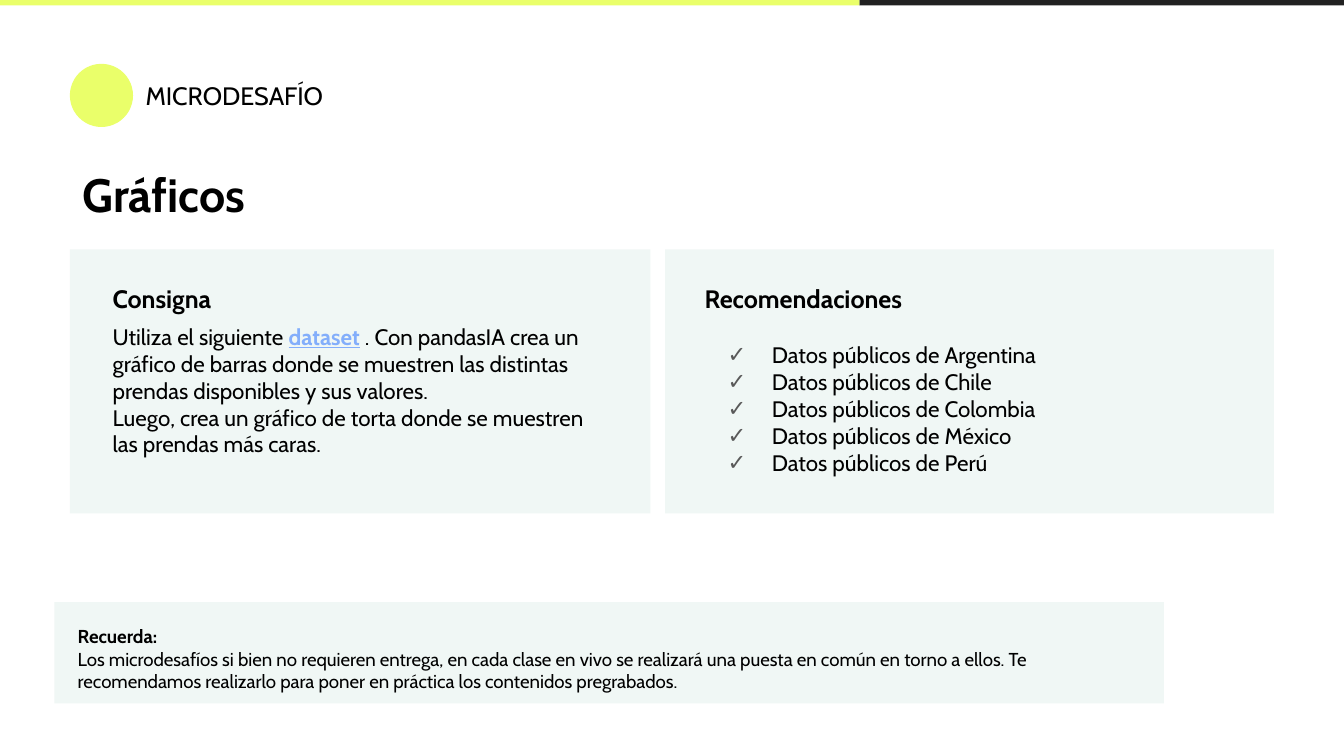
from dataclasses import dataclass

from lxml.etree import SubElement
from pptx import Presentation
from pptx.dml.color import RGBColor
from pptx.enum.shapes import MSO_SHAPE as Shape
from pptx.enum.text import MSO_ANCHOR as Anchor, MSO_AUTO_SIZE as AutoSize, PP_ALIGN as Align
from pptx.oxml.ns import qn
from pptx.util import Emu, Pt

EMU_PER_PX = 4572  # 200 px to the inch
INSET = 20


@dataclass(frozen=True)
class Theme:
    font: str = "Cabin"
    text: str = "000000"
    panel: str = "F0F7F5"
    accent: str = "EAFF6A"
    dark: str = "212121"
    link: str = "83AEFB"
    check: str = "595959"
    title: float = 25
    heading: float = 13.5
    body: float = 12
    note: float = 10


THEME = Theme()


def px(length):
    return Emu(length * EMU_PER_PX)


def add_block(slide, kind, box, color):
    shape = slide.shapes.add_shape(kind, *map(px, box))
    shape.shadow.inherit = False
    shape.fill.solid()
    shape.fill.fore_color.rgb = RGBColor.from_string(color)
    shape.line.fill.background()


def prepare_frame(shape):
    frame = shape.text_frame
    frame.word_wrap = True
    frame.auto_size = AutoSize.NONE
    frame.vertical_anchor = Anchor.TOP
    frame.margin_left = frame.margin_right = px(INSET)
    frame.margin_top = frame.margin_bottom = px(INSET)
    return frame


def add_text_box(slide, box):
    return prepare_frame(slide.shapes.add_textbox(*map(px, box)))


def next_paragraph(frame):
    first = frame.paragraphs[0]
    return frame.add_paragraph() if first.runs else first


def add_run(paragraph, text, size, bold=False, color=THEME.text, underline=False):
    run = paragraph.add_run()
    run.text = text
    font = run.font
    font.name = THEME.font
    font.size = Pt(size)
    font.bold = bold
    font.underline = underline
    font.color.rgb = RGBColor.from_string(color)


def add_line(frame, text, size, bold=False):
    paragraph = next_paragraph(frame)
    add_run(paragraph, text, size, bold)
    return paragraph


def add_check_item(frame, text):
    paragraph = next_paragraph(frame)
    properties = paragraph._p.get_or_add_pPr()
    properties.set("marL", str(px(100)))
    properties.set("indent", str(px(-66)))
    bullet_color = SubElement(properties, qn("a:buClr"))
    SubElement(bullet_color, qn("a:srgbClr"), val=THEME.check)
    SubElement(properties, qn("a:buFont"), typeface=THEME.font)
    SubElement(properties, qn("a:buChar"), char="✓")
    add_run(paragraph, text, THEME.body)


def set_title(slide, text, box):
    title = slide.shapes.title
    title.left, title.top, title.width, title.height = map(px, box)
    paragraph = add_line(prepare_frame(title), text, THEME.title, bold=True)
    paragraph.alignment = Align.LEFT
    paragraph.line_spacing = 0.9


def add_header(slide):
    add_block(slide, Shape.RECTANGLE, (1279, -2, 721, 10), THEME.dark)
    add_block(slide, Shape.RECTANGLE, (0, -2, 1279, 10), THEME.accent)
    add_block(slide, Shape.OVAL, (104, 95, 94, 94), THEME.accent)
    add_line(add_text_box(slide, (197, 100, 656, 86)), "MICRODESAFÍO", THEME.heading)


def add_task(slide):
    add_block(slide, Shape.RECTANGLE, (104, 371, 864, 393), THEME.panel)
    frame = add_text_box(slide, (148, 402, 780, 302))
    heading = add_line(frame, "Consigna", THEME.heading, bold=True)
    heading.space_after = Pt(5)
    paragraph = add_line(frame, "Utiliza el siguiente ", THEME.body)
    add_run(paragraph, "dataset", THEME.body, bold=True, color=THEME.link, underline=True)
    add_run(paragraph, " . Con pandasIA crea un gráfico de barras donde se muestren "
            "las distintas prendas disponibles y sus valores.", THEME.body)
    add_line(frame, "Luego, crea un gráfico de torta donde se muestren las prendas más caras.",
             THEME.body)


def add_recommendations(slide):
    add_block(slide, Shape.RECTANGLE, (990, 371, 906, 393), THEME.panel)
    add_line(add_text_box(slide, (1029, 402, 828, 86)), "Recomendaciones",
             THEME.heading, bold=True)
    frame = add_text_box(slide, (1029, 488, 820, 242))
    for country in ("Argentina", "Chile", "Colombia", "México", "Perú"):
        add_check_item(frame, f"Datos públicos de {country}")


def add_reminder(slide):
    add_block(slide, Shape.RECTANGLE, (81, 896, 1651, 151), THEME.panel)
    frame = add_text_box(slide, (96, 910, 1636, 142))
    add_line(frame, "Recuerda:", THEME.note, bold=True)
    add_line(frame, "Los microdesafíos si bien no requieren entrega, en cada clase en vivo "
             "se realizará una puesta en común en torno a ellos. Te recomendamos realizarlo "
             "para poner en práctica los contenidos pregrabados.", THEME.note)


def main():
    presentation = Presentation()
    presentation.slide_width, presentation.slide_height = px(2000), px(1125)
    slide = presentation.slides.add_slide(presentation.slide_layouts.get_by_name("Title Only"))
    set_title(slide, "Gráficos", (103, 236, 1608, 116))
    add_header(slide)
    add_task(slide)
    add_recommendations(slide)
    add_reminder(slide)
    presentation.save("out.pptx")


if __name__ == "__main__":
    main()
